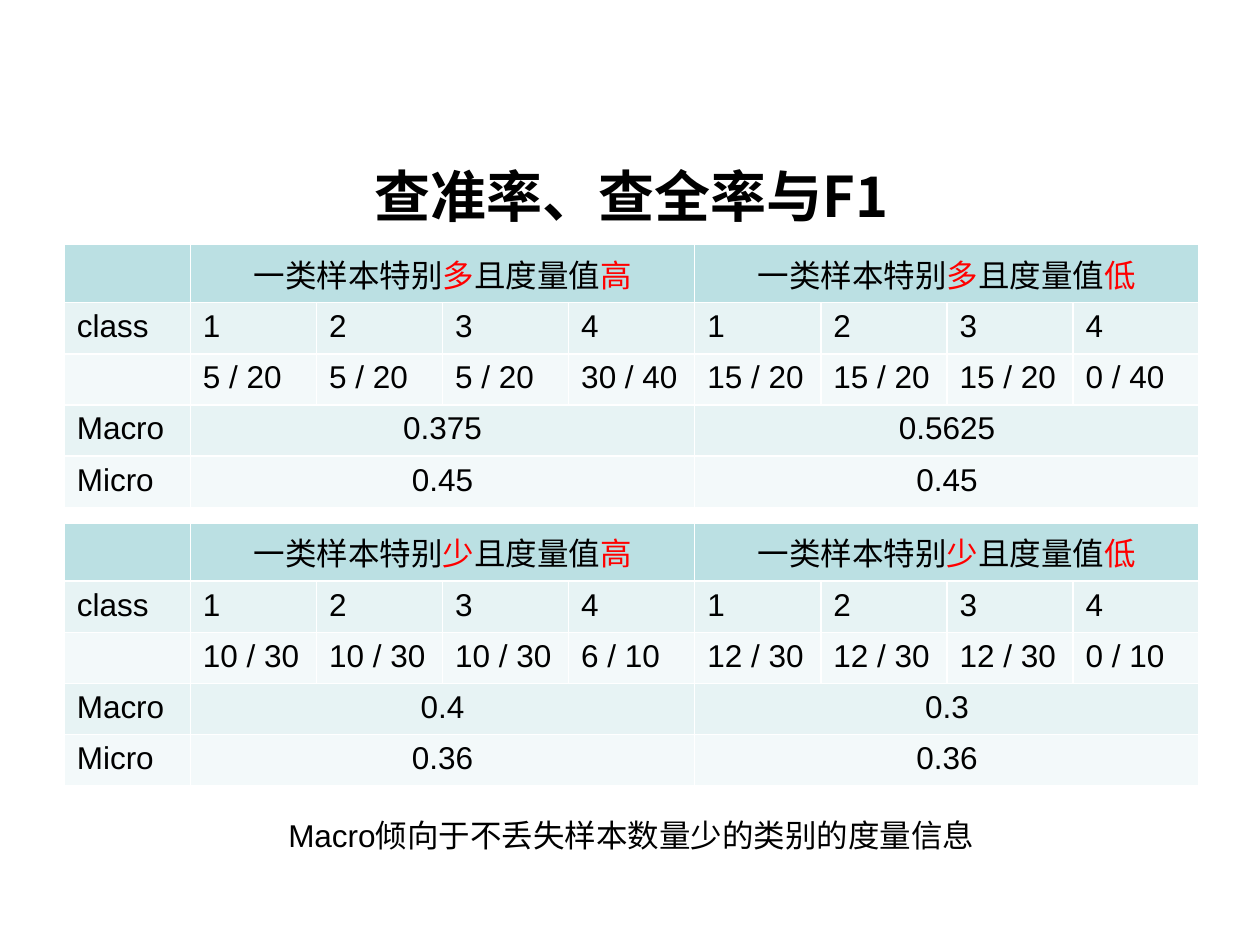
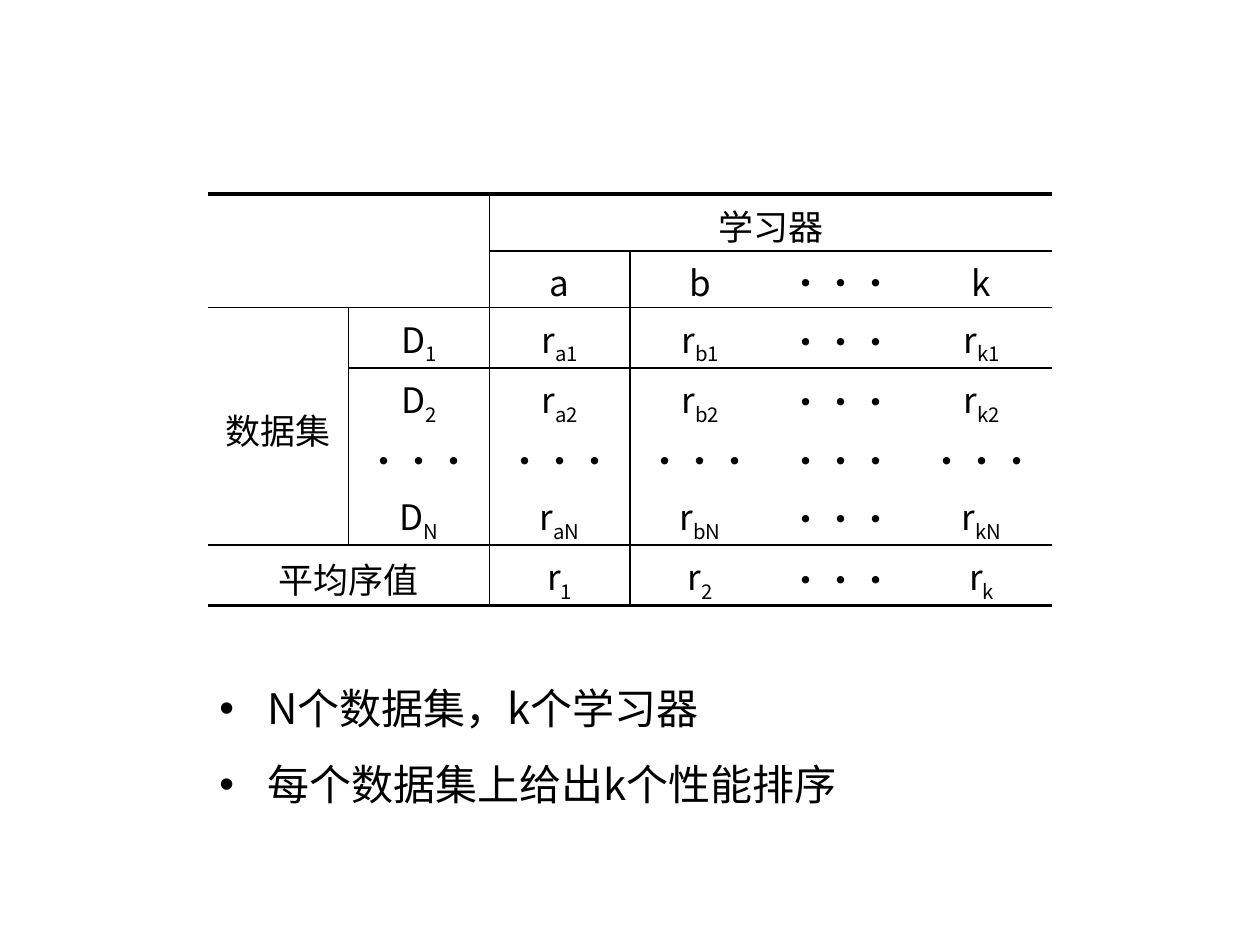
from lxml import etree
from pptx import Presentation
from pptx.dml.color import RGBColor
from pptx.enum.text import MSO_ANCHOR, MSO_AUTO_SIZE, PP_ALIGN
from pptx.oxml.ns import qn
from pptx.util import Inches, Pt

LEFT, CENTER = PP_ALIGN.LEFT, PP_ALIGN.CENTER
MIDDLE, TOP = MSO_ANCHOR.MIDDLE, MSO_ANCHOR.TOP
NO_FIT = MSO_AUTO_SIZE.NONE
BLACK = RGBColor(0x00, 0x00, 0x00)
WHITE = RGBColor(0xFF, 0xFF, 0xFF)
RED = RGBColor(0xFF, 0x00, 0x00)
HEADER_FILL = RGBColor(0xBB, 0xE0, 0xE3)
ROW_FILLS = [RGBColor(0xE7, 0xF3, 0xF4), RGBColor(0xF3, 0xF9, 0xFA)]
CJK, LATIN = "Noto Sans CJK SC", "Arial"


def write(paragraph, text, size, font_name=CJK, align=LEFT):
    """Write text in one font; each "|" starts a new run. Return the odd runs."""
    for part in text.split("|"):
        paragraph.add_run().text = part
    paragraph.alignment = align
    font = paragraph.font
    font.size, font.name = Pt(size), font_name
    font.color.rgb = BLACK
    defaults = paragraph._p.pPr.find(qn("a:defRPr"))
    etree.SubElement(defaults, qn("a:ea"), typeface=CJK)
    return paragraph.runs[1::2]


def set_border(cell, side, width, color=BLACK):
    """Draw one side (L, R, T, B) of a cell; width 0 leaves it open."""
    line = etree.SubElement(cell._tc.get_or_add_tcPr(), qn(f"a:ln{side}"), w=str(Pt(width)))
    if width:
        fill = etree.SubElement(line, qn("a:solidFill"))
        etree.SubElement(fill, qn("a:srgbClr"), val=str(color))
    else:
        etree.SubElement(line, qn("a:noFill"))


deck = Presentation()
deck.slide_width, deck.slide_height = Inches(10), Inches(7.5)

# Slide 1: macro and micro averages
page = deck.slides.add_slide(deck.slide_layouts[5])
title = page.shapes.title
title.left, title.top, title.width, title.height = Inches(0.51), Inches(1.15), Inches(9), Inches(0.79)
title.text_frame.vertical_anchor = MIDDLE
heading = title.text_frame.paragraphs[0]
write(heading, "查准率、查全率与F1", 32, align=CENTER)
heading.font.bold = True

# top, amount of samples, ratios per class, macro pair, micro pair
comparisons = [
    (1.94, "多", ["5 / 20"] * 3 + ["30 / 40"] + ["15 / 20"] * 3 + ["0 / 40"],
     ["0.375", "0.5625"], ["0.45", "0.45"]),
    (4.15, "少", ["10 / 30"] * 3 + ["6 / 10"] + ["12 / 30"] * 3 + ["0 / 10"],
     ["0.4", "0.3"], ["0.36", "0.36"]),
]
for top, amount, ratios, macro, micro in comparisons:
    headers = [f"一类样本特别|{amount}|且度量值|{level}" for level in "高低"]
    rows = [[""] + headers, ["class"] + list("1234") * 2, [""] + ratios,
            ["Macro"] + macro, ["Micro"] + micro]
    table = page.shapes.add_table(5, 9, Inches(0.51), Inches(top), Inches(9.01), Inches(2.03)).table
    table.first_row = table.horz_banding = False
    for row_index, values in enumerate(rows):
        for cell in table.rows[row_index].cells:
            for side in "LRTB":
                set_border(cell, side, 1, WHITE)
            cell.fill.solid()
            cell.fill.fore_color.rgb = ROW_FILLS[(row_index - 1) % 2] if row_index else HEADER_FILL
        paired = len(values) == 3
        for index, value in enumerate(values):
            column = 1 + 4 * (index - 1) if paired and index else index
            cell = table.cell(row_index, column)
            wide = paired and index > 0
            if wide:
                cell.merge(table.cell(row_index, column + 3))
            if value:
                accents = write(cell.text_frame.paragraphs[0], value, 18,
                                LATIN if row_index else CJK, CENTER if wide else LEFT)
                for span in accents:
                    span.font.color.rgb = RED

box = page.shapes.add_textbox(Inches(1.15), Inches(6.43), Inches(7.72), Inches(0.4))
box.text_frame.word_wrap = True
write(box.text_frame.paragraphs[0], "Macro倾向于不丢失样本数量少的类别的度量信息", 18, LATIN, CENTER)

# Slide 2: ranking of learners over data sets
page = deck.slides.add_slide(deck.slide_layouts[1])
title = page.shapes.title
title._element.getparent().remove(title._element)

body = page.placeholders[1]
body.left, body.top, body.width, body.height = Inches(1.64), Inches(5.17), Inches(6.69), Inches(1.31)
frame = body.text_frame
frame.auto_size, frame.vertical_anchor = NO_FIT, TOP
for index, text in enumerate(["N个数据集，k个学习器", "每个数据集上给出k个性能排序"]):
    paragraph = frame.add_paragraph() if index else frame.paragraphs[0]
    properties = paragraph._p.get_or_add_pPr()
    properties.set("marL", str(Inches(0.38)))
    properties.set("indent", str(-Inches(0.38)))
    etree.SubElement(properties, qn("a:buFont"), typeface=LATIN)
    etree.SubElement(properties, qn("a:buChar"), char="•")
    paragraph.line_spacing, paragraph.space_before = 1.5, Pt(0)
    write(paragraph, text, 24)

DOTS = "···"
ranking = [
    ["", "", "学习器", "", "", ""],
    ["", "", "a", "b", DOTS, "k"],
    ["数据集", "D|1", "r|a1", "r|b1", DOTS, "r|k1"],
    ["", "D|2", "r|a2", "r|b2", DOTS, "r|k2"],
    ["", DOTS, DOTS, DOTS, DOTS, DOTS],
    ["", "D|N", "r|aN", "r|bN", DOTS, "r|kN"],
    ["平均序值", "", "r|1", "r|2", DOTS, "r|k"],
]
# Edge number: (first cell along the edge, line width)
row_edges = {0: (0, 2.25), 1: (2, 1), 2: (0, 1), 3: (1, 1), 6: (0, 1), 7: (0, 2.25)}
column_edges = {1: (2, 5, 1), 2: (0, 6, 1), 3: (1, 6, 1)}  # first row, last row, width
merges = [(0, 0, 1, 1), (0, 2, 0, 5), (2, 0, 5, 0), (6, 0, 6, 1)]

table = page.shapes.add_table(7, 6, Inches(1.65), Inches(1.54), Inches(6.7), Inches(3.15)).table
table.first_row = table.horz_banding = False
for row, values in enumerate(ranking):
    for column, value in enumerate(values):
        cell = table.cell(row, column)
        for side, edge in (("L", column), ("R", column + 1)):
            first, last, width = column_edges.get(edge, (0, -1, 0))
            set_border(cell, side, width if first <= row <= last else 0)
        for side, edge in (("T", row), ("B", row + 1)):
            first, width = row_edges.get(edge, (0, 0))
            set_border(cell, side, width if column >= first else 0)
        cell.fill.background()
        cell.vertical_anchor = MIDDLE
        cell.margin_top, cell.margin_bottom = Inches(0.04), 0
        if value:
            for span in write(cell.text_frame.paragraphs[0], value, 20, align=CENTER):
                span._r.get_or_add_rPr().set("baseline", "-25000")
for first_row, first_column, last_row, last_column in merges:
    table.cell(first_row, first_column).merge(table.cell(last_row, last_column))

deck.save("out.pptx")
